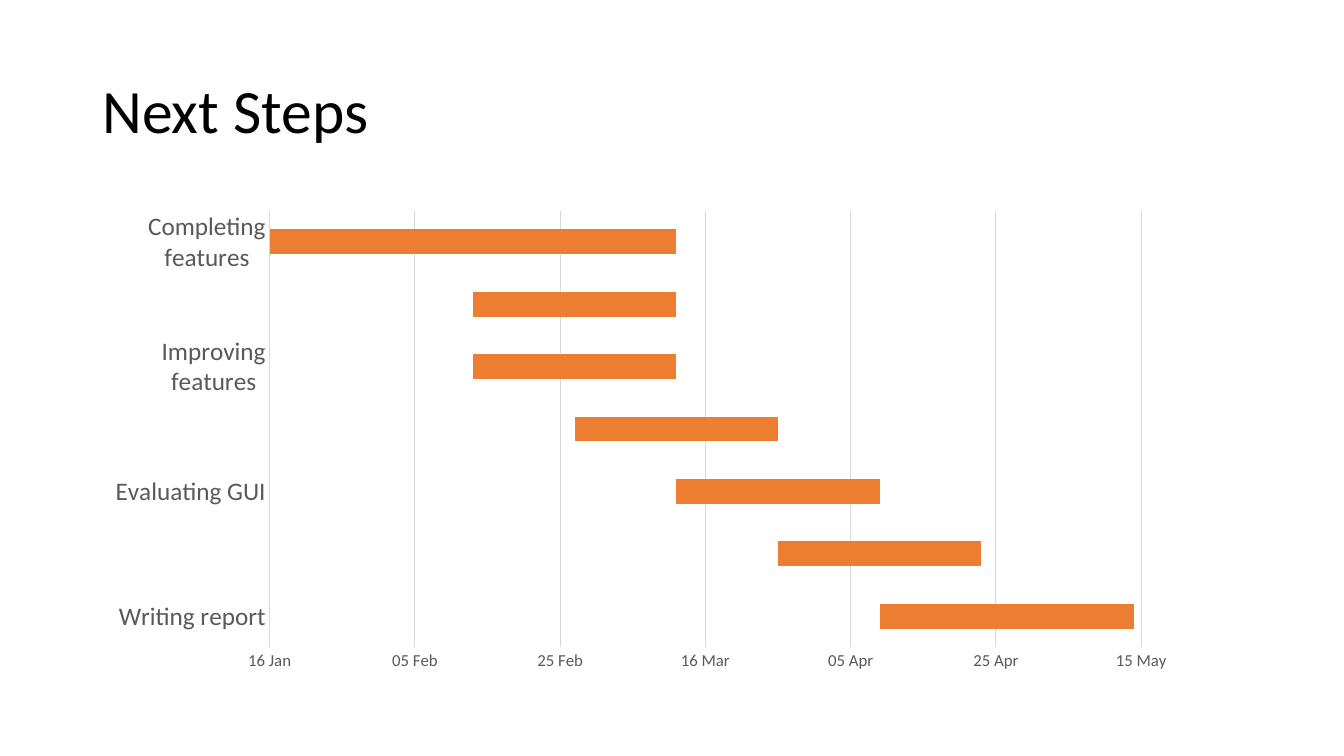
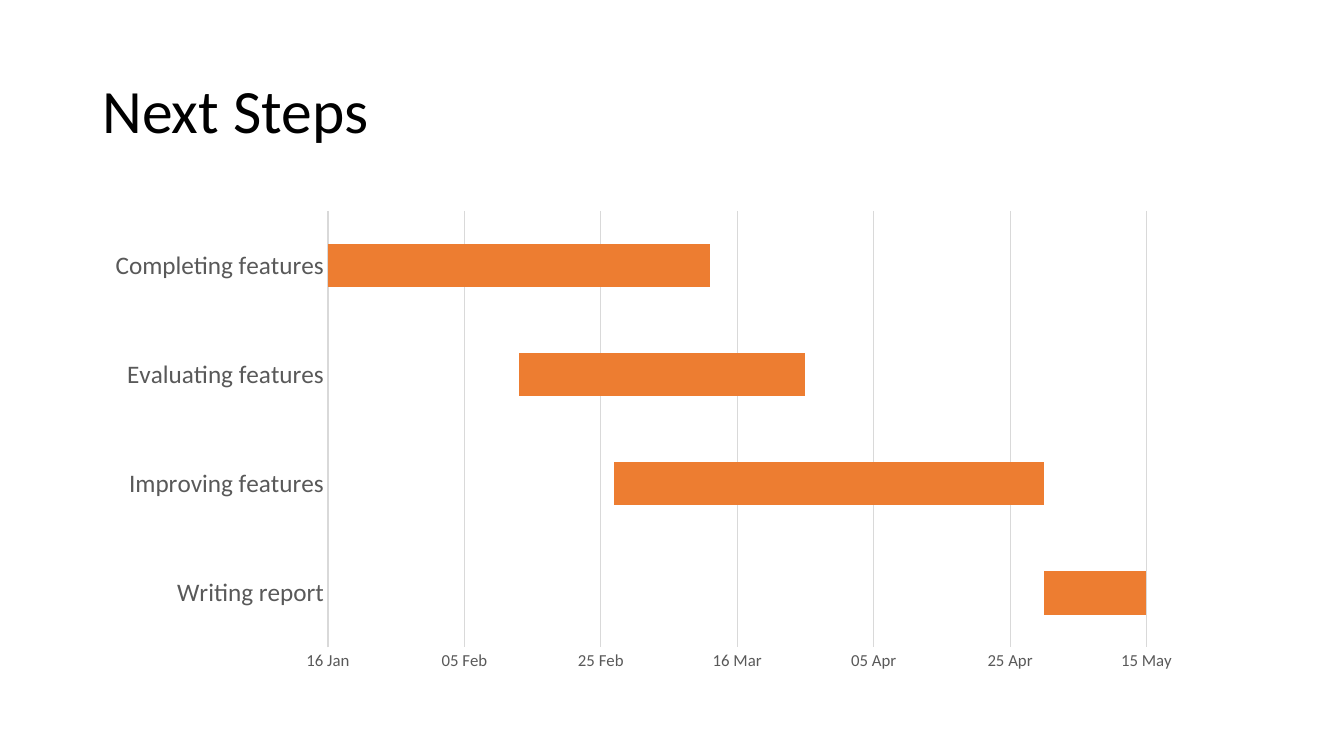
from pptx import Presentation
from pptx import util as u
from pptx.chart.data import CategoryChartData
from pptx.dml.color import RGBColor
from pptx.enum import chart as charts, text

BLACK = RGBColor(0x00, 0x00, 0x00)
WHITE = RGBColor(0xFF, 0xFF, 0xFF)
GREY = RGBColor(0x59, 0x59, 0x59)
RULE = RGBColor(0xD9, 0xD9, 0xD9)
ORANGE = RGBColor(0xED, 0x7D, 0x31)
FONT = "Calibri"
DATE_FORMAT = "[$-809]dd\\ mmm;@"
JAN_16, TIMELINE_END, TICK_DAYS = 43846, 43978, 20


def style_font(font, size, color):
    font.name = FONT
    font.size = u.Pt(size)
    font.bold = False
    font.color.rgb = color


def write(frame, wording, size=18, color=BLACK, align=text.PP_ALIGN.LEFT,
          anchor=text.MSO_ANCHOR.MIDDLE, spacing=0.9):
    frame.word_wrap = True
    frame.vertical_anchor = anchor
    paragraph = frame.paragraphs[0]
    paragraph.alignment = align
    paragraph.line_spacing = spacing
    run = paragraph.add_run()
    run.text = wording
    style_font(run.font, size, color)


def rule_line(line):
    line.color.rgb = RULE
    line.width = u.Pt(0.75)


class Deck:
    LEFT, WIDTH = 0.06875, 0.8625
    TITLE_ROW = (0.0533, 0.1933)
    CHART_ROW = (0.2662, 0.6344)

    def __init__(self):
        self.file = Presentation()
        self.file.slide_width = u.Inches(13.333)
        self.file.slide_height = u.Inches(7.5)
        self.slide = None

    def box(self, row):
        top, height = row
        across, down = self.file.slide_width, self.file.slide_height
        return (int(self.LEFT * across), int(top * down),
                int(self.WIDTH * across), int(height * down))

    def add_slide(self, heading):
        self.slide = self.file.slides.add_slide(self.file.slide_layouts[5])
        background = self.slide.background.fill
        background.solid()
        background.fore_color.rgb = WHITE
        title = self.slide.shapes.title
        title.left, title.top, title.width, title.height = self.box(self.TITLE_ROW)
        write(title.text_frame, heading, size=44)

    def add_gantt(self, tasks):
        names, starts, durations = zip(*reversed(tasks))
        schedule = CategoryChartData()
        schedule.categories = names
        schedule.add_series("Series 1", starts)
        schedule.add_series("Series 2", durations)
        gantt = self.slide.shapes.add_chart(
            charts.XL_CHART_TYPE.BAR_STACKED, *self.box(self.CHART_ROW), schedule).chart
        gantt.has_legend = False
        gantt.has_title = False
        style_font(gantt.font, 10, BLACK)
        self.style_bars(gantt.plots[0])
        self.style_tasks(gantt.category_axis)
        self.style_dates(gantt.value_axis)

    def style_bars(self, plot):
        plot.gap_width = 150
        plot.overlap = 100
        plot.vary_by_categories = False
        offset, duration = plot.series
        offset.format.fill.background()
        offset.format.line.fill.background()
        duration.format.fill.solid()
        duration.format.fill.fore_color.rgb = ORANGE
        duration.format.line.fill.background()

    def style_axis(self, axis, size):
        axis.major_tick_mark = charts.XL_TICK_MARK.NONE
        axis.minor_tick_mark = charts.XL_TICK_MARK.NONE
        style_font(axis.tick_labels.font, size, GREY)

    def style_tasks(self, axis):
        self.style_axis(axis, 18)
        rule_line(axis.format.line)

    def style_dates(self, axis):
        self.style_axis(axis, 12)
        axis.minimum_scale = JAN_16
        axis.maximum_scale = TIMELINE_END
        axis.major_unit = TICK_DAYS
        axis.tick_labels.number_format = DATE_FORMAT
        axis.tick_labels.number_format_is_linked = False
        axis.format.line.fill.background()
        axis.has_major_gridlines = True
        rule_line(axis.major_gridlines.format.line)


DETAILED_PLAN = [
    ("Completing features", JAN_16, 56),
    ("Evaluating features", 43874, 28),
    ("Improving features", 43874, 28),
    ("Completing GUI", 43888, 28),
    ("Evaluating GUI", 43902, 28),
    ("Improving GUI", 43916, 28),
    ("Writing report", 43930, 35),
]
SHORT_PLAN = [
    ("Completing features", JAN_16, 56),
    ("Evaluating features", 43874, 42),
    ("Improving features", 43888, 63),
    ("Writing report", 43951, 15),
]

deck = Deck()
for plan in (DETAILED_PLAN, SHORT_PLAN):
    deck.add_slide("Next Steps")
    deck.add_gantt(plan)
deck.file.save("out.pptx")
